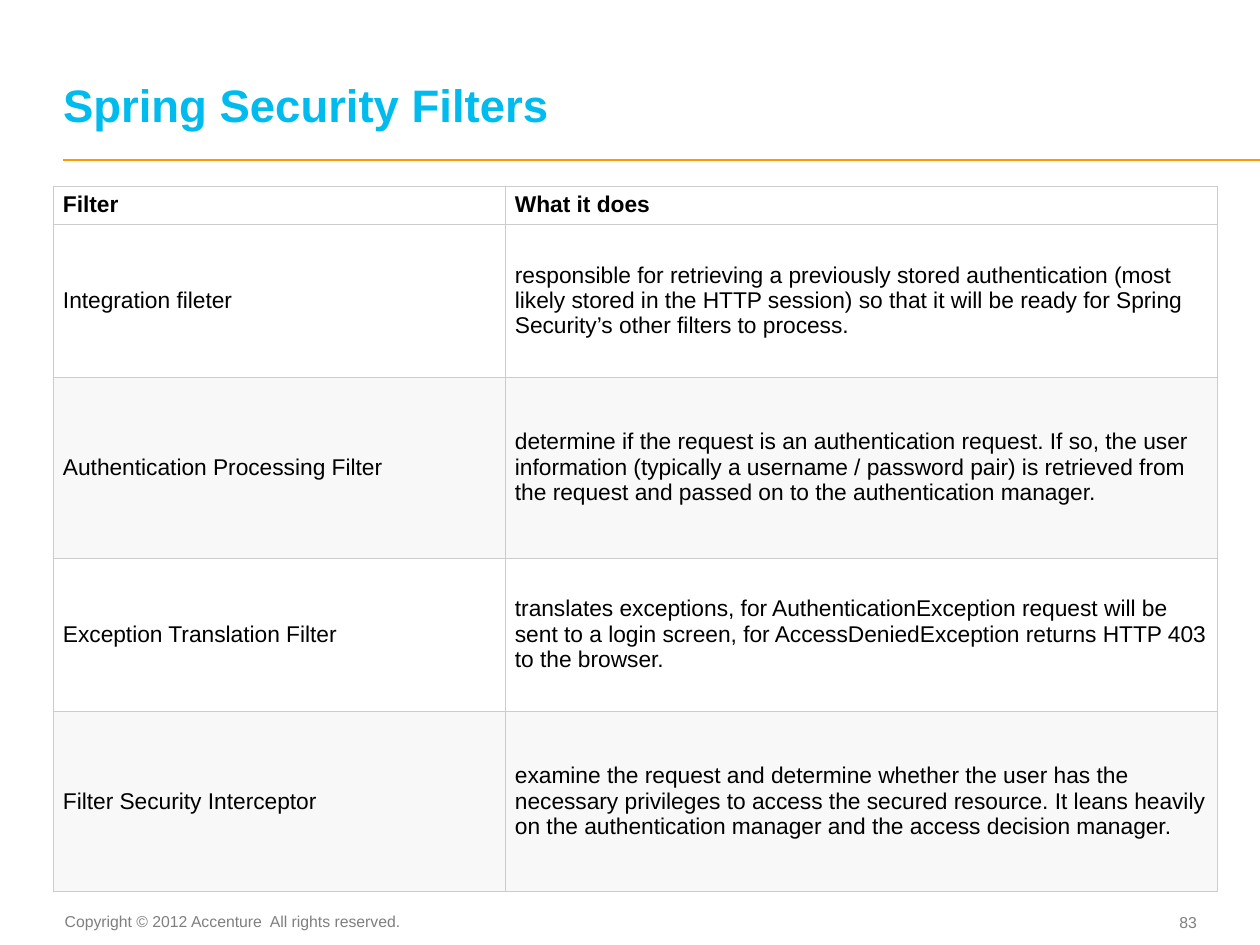
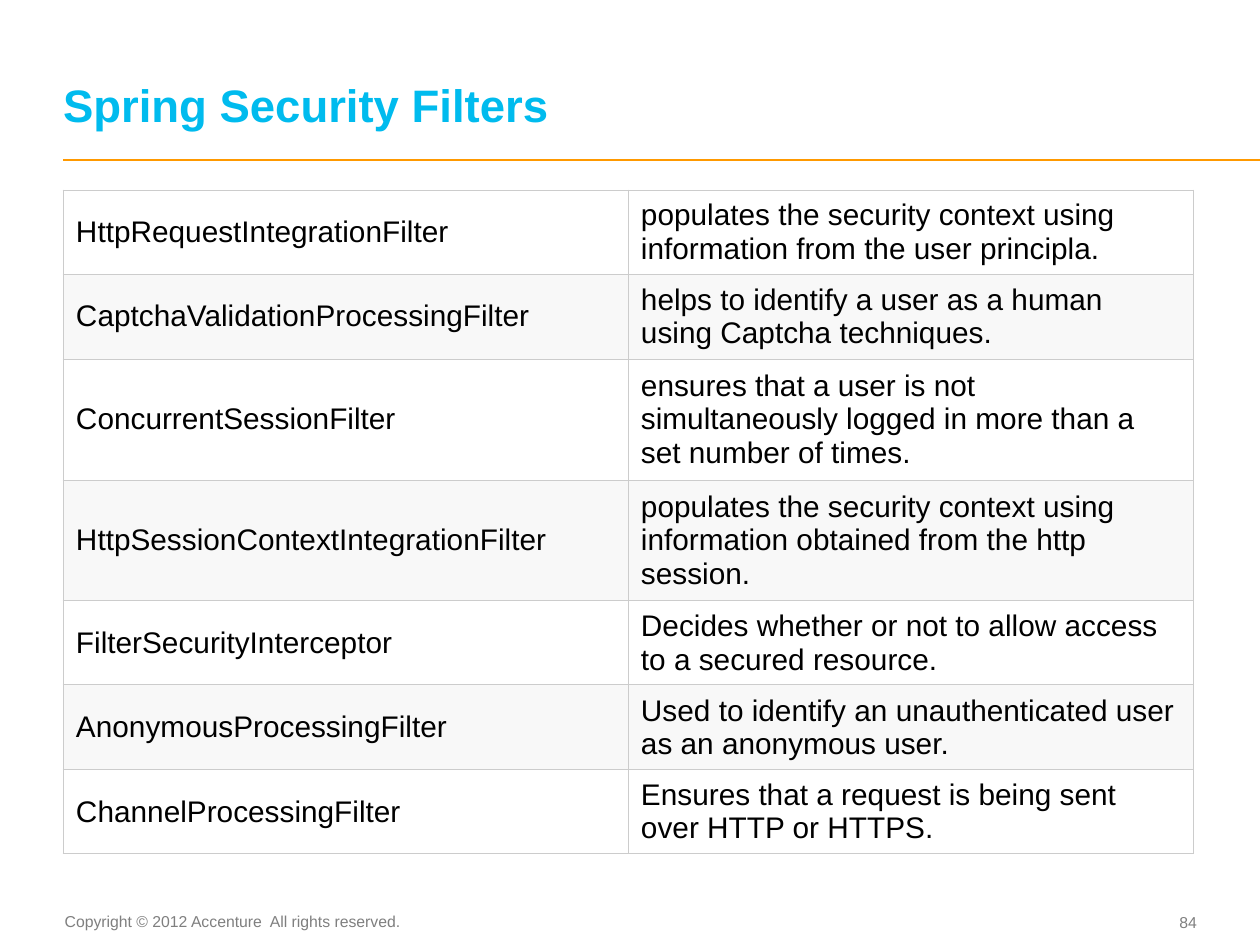
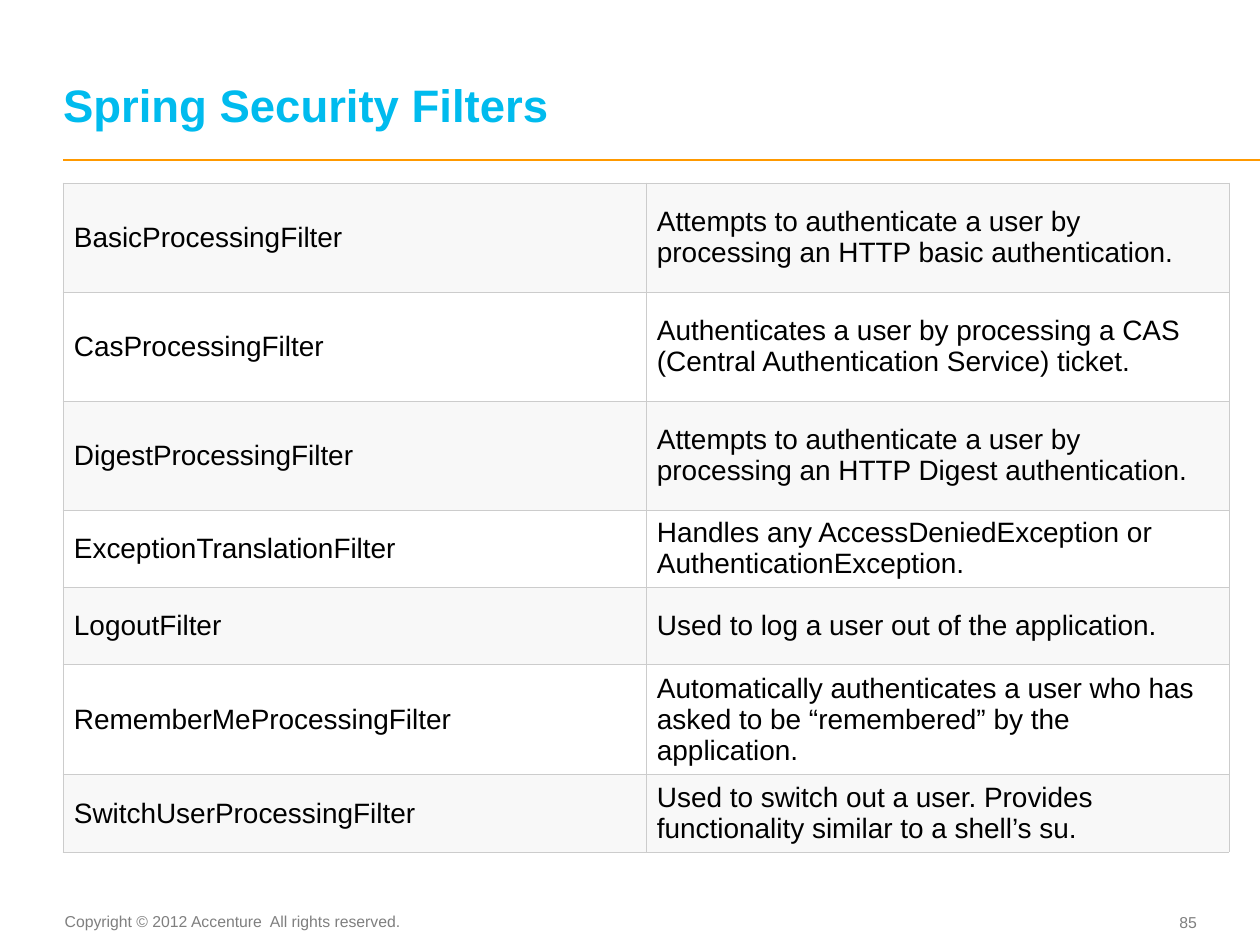
import dataclasses
import typing

import pptx
import pptx.dml.color
import pptx.enum.shapes
import pptx.enum.text
import pptx.oxml
import pptx.oxml.ns
import pptx.util

ALIGN = pptx.enum.text.PP_ALIGN
ANCHOR = pptx.enum.text.MSO_ANCHOR
PX_PER_INCH = 126


# Theme and content types
@dataclasses.dataclass(frozen=True)
class Theme:
    font: str = "Arial"
    heading: str = "00BBEE"
    rule: str = "FF9900"
    muted: str = "7F7F7F"
    body: str = "000000"
    plain: str = "FFFFFF"
    shaded: str = "F8F8F8"
    border: str = "CCCCCC"
    heading_size: int = 26
    footer_size: int = 9
    rule_width: float = 1
    border_width: float = 0.6


class Box(typing.NamedTuple):
    left: int
    top: int
    width: int
    height: int


class Insets(typing.NamedTuple):
    left: int = 0
    top: int = 0
    right: int = 0
    bottom: int = 0


@dataclasses.dataclass(frozen=True)
class Label:
    text: str
    box: Box
    size: int
    color: str
    bold: bool = False
    align: ALIGN = ALIGN.LEFT
    anchor: ANCHOR = ANCHOR.TOP
    insets: Insets = Insets()
    line_pt: int | None = None


@dataclasses.dataclass(frozen=True)
class FilterTable:
    left: int
    top: int
    columns: tuple[int, int]
    row_heights: tuple[int, ...]
    size: int
    inset_x: int
    inset_y: int
    first_shaded: int
    entries: tuple[tuple[str, str], ...]
    has_header: bool = False


THEME = Theme()
FIRST_PAGE = 83
TITLE = Label("Spring Security Filters", Box(63, 24, 1130, 108), THEME.heading_size,
              THEME.heading, bold=True, anchor=ANCHOR.BOTTOM, line_pt=26)
COPYRIGHT = Label("Copyright © 2012 Accenture  All rights reserved.", Box(62, 906, 354, 32),
                  THEME.footer_size, THEME.muted, align=ALIGN.CENTER,
                  insets=Insets(0, 6, 13, 6))
PAGE_NUMBER = Label("", Box(1123, 905, 74, 34), THEME.footer_size, THEME.muted,
                    align=ALIGN.RIGHT, anchor=ANCHOR.MIDDLE)

# One table of filters per slide
TABLES = (
    FilterTable(
        left=53, top=186, columns=(452, 713), row_heights=(38, 153, 181, 153, 181),
        size=13, inset_x=10, inset_y=5, first_shaded=2, has_header=True,
        entries=(
            ("Filter", "What it does"),
            ("Integration fileter",
             "responsible for retrieving a previously stored authentication (most likely stored "
             "in the HTTP session) so that it will be ready for Spring Security’s other filters "
             "to process."),
            ("Authentication Processing Filter",
             "determine if the request is an authentication request. If so, the user information "
             "(typically a username / password pair) is retrieved from the request and passed on "
             "to the authentication manager."),
            ("Exception Translation Filter",
             "translates exceptions, for AuthenticationException request will be sent to a login "
             "screen, for AccessDeniedException returns HTTP 403 to the browser."),
            ("Filter Security Interceptor",
             "examine the request and determine whether the user has the necessary privileges to "
             "access the secured resource. It leans heavily on the authentication manager and "
             "the access decision manager."),
        )),
    FilterTable(
        left=63, top=190, columns=(565, 566), row_heights=(84, 85, 121, 121, 84, 85, 84),
        size=17, inset_x=13, inset_y=6, first_shaded=1,
        entries=(
            ("HttpRequestIntegrationFilter",
             "populates the security context using information from the user principla."),
            ("CaptchaValidationProcessingFilter",
             "helps to identify a user as a human using Captcha techniques."),
            ("ConcurrentSessionFilter",
             "ensures that a user is not simultaneously logged in more than a set number of "
             "times."),
            ("HttpSessionContextIntegrationFilter",
             "populates the security context using information obtained from the http session."),
            ("FilterSecurityInterceptor",
             "Decides whether or not to allow access to a secured resource."),
            ("AnonymousProcessingFilter",
             "Used to identify an unauthenticated user as an anonymous user."),
            ("ChannelProcessingFilter",
             "Ensures that a request is being sent over HTTP or HTTPS."),
        )),
    FilterTable(
        left=63, top=183, columns=(583, 583), row_heights=(109, 109, 109, 76, 77, 109, 76),
        size=16, inset_x=11, inset_y=5, first_shaded=0,
        entries=(
            ("BasicProcessingFilter",
             "Attempts to authenticate a user by processing an HTTP basic authentication."),
            ("CasProcessingFilter",
             "Authenticates a user by processing a CAS (Central Authentication Service) ticket."),
            ("DigestProcessingFilter",
             "Attempts to authenticate a user by processing an HTTP Digest authentication."),
            ("ExceptionTranslationFilter",
             "Handles any AccessDeniedException or AuthenticationException."),
            ("LogoutFilter", "Used to log a user out of the application."),
            ("RememberMeProcessingFilter",
             "Automatically authenticates a user who has asked to be “remembered” by the "
             "application."),
            ("SwitchUserProcessingFilter",
             "Used to switch out a user. Provides functionality similar to a shell’s su."),
        )),
)


# Helpers
def px(length: int) -> pptx.util.Emu:
    return pptx.util.Emu(round(length * pptx.util.Inches(1) / PX_PER_INCH))


def rgb(color: str) -> pptx.dml.color.RGBColor:
    return pptx.dml.color.RGBColor.from_string(color)


def apply(target: typing.Any, values: dict[str, typing.Any]) -> None:
    for attribute, value in values.items():
        setattr(target, attribute, value)


def margins(insets: Insets) -> dict[str, pptx.util.Emu]:
    return {f"margin_{side}": px(inset) for side, inset in insets._asdict().items()}


def style_font(font: typing.Any, size: int, color: str, bold: bool) -> None:
    apply(font, {"name": THEME.font, "size": pptx.util.Pt(size), "bold": bold})
    font.color.rgb = rgb(color)


def draw_label(slide: typing.Any, label: Label) -> None:
    frame = slide.shapes.add_textbox(*map(px, label.box)).text_frame
    apply(frame, {"word_wrap": True, "vertical_anchor": label.anchor, **margins(label.insets)})
    paragraph = frame.paragraphs[0]
    paragraph.alignment = label.align
    if label.line_pt:
        paragraph.line_spacing = pptx.util.Pt(label.line_pt)
    run = paragraph.add_run()
    run.text = label.text
    style_font(run.font, label.size, label.color, label.bold)


def draw_title_rule(slide: typing.Any) -> None:
    rule = slide.shapes.add_connector(pptx.enum.shapes.MSO_CONNECTOR.STRAIGHT,
                                      px(63), px(160), px(1260), px(160))
    rule.line.color.rgb = rgb(THEME.rule)
    rule.line.width = pptx.util.Pt(THEME.rule_width)
    rule._element.spPr.append(pptx.oxml.parse_xml(
        f'<a:effectLst {pptx.oxml.ns.nsdecls("a")}/>'))


def add_borders(cell: typing.Any) -> None:
    properties = cell._tc.get_or_add_tcPr()
    for side in "LRTB":
        properties.append(pptx.oxml.parse_xml(
            f'<a:ln{side} {pptx.oxml.ns.nsdecls("a")} w="{pptx.util.Pt(THEME.border_width)}">'
            f'<a:solidFill><a:srgbClr val="{THEME.border}"/></a:solidFill></a:ln{side}>'))


def draw_filter_table(slide: typing.Any, filters: FilterTable) -> None:
    table = slide.shapes.add_table(
        len(filters.entries), len(filters.columns), px(filters.left), px(filters.top),
        px(sum(filters.columns)), px(sum(filters.row_heights))).table
    apply(table, {"first_row": filters.has_header, "horz_banding": False})
    for column, width in zip(table.columns, filters.columns):
        column.width = px(width)
    insets = Insets(filters.inset_x, filters.inset_y, filters.inset_x, filters.inset_y)

    for row, (entry, height) in enumerate(zip(filters.entries, filters.row_heights)):
        table.rows[row].height = px(height)
        band = row - filters.first_shaded
        shade = THEME.shaded if band >= 0 and band % 2 == 0 else THEME.plain
        for column, text in enumerate(entry):
            cell = table.cell(row, column)
            apply(cell, {"text": text, "vertical_anchor": ANCHOR.MIDDLE, **margins(insets)})
            add_borders(cell)
            cell.fill.solid()
            cell.fill.fore_color.rgb = rgb(shade)
            style_font(cell.text_frame.paragraphs[0].runs[0].font, filters.size, THEME.body,
                       filters.has_header and row == 0)


# Deck
def main() -> None:
    deck = pptx.Presentation()
    apply(deck, {"slide_width": px(1260), "slide_height": px(945)})
    blank = deck.slide_layouts[6]
    for page, filters in enumerate(TABLES, FIRST_PAGE):
        slide = deck.slides.add_slide(blank)
        draw_title_rule(slide)
        for label in (COPYRIGHT, dataclasses.replace(PAGE_NUMBER, text=str(page)), TITLE):
            draw_label(slide, label)
        draw_filter_table(slide, filters)
    deck.save("out.pptx")


if __name__ == "__main__":
    main()
